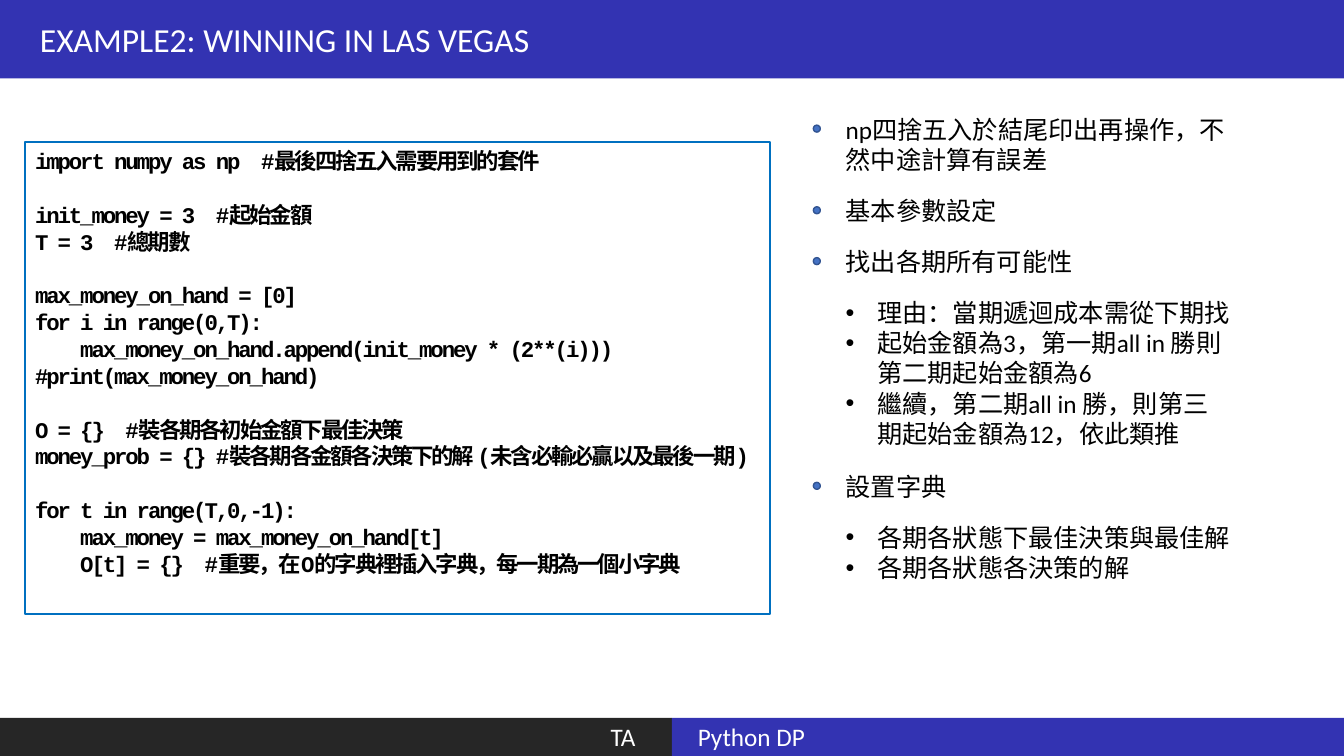
from pptx import Presentation
from pptx.dml.color import RGBColor
from pptx.enum.shapes import MSO_SHAPE
from pptx.enum.text import MSO_ANCHOR, PP_ALIGN
from pptx.oxml.ns import qn
from pptx.util import Pt
from lxml import etree

# Content
TITLE = "EXAMPLE2: WINNING IN LAS VEGAS"
FOOTER_LEFT = "TA"
FOOTER_RIGHT = "Python DP"

# Each group of code lines is set off by one line of space
CODE_GROUPS = [
    ["import numpy as np  #最後四捨五入需要用到的套件"],
    ["init_money = 3  #起始金額",
     "T = 3  #總期數"],
    ["max_money_on_hand = [0]",
     "for i in range(0,T):",
     "    max_money_on_hand.append(init_money * (2**(i)))",
     "#print(max_money_on_hand)"],
    ["O = {}  #裝各期各初始金額下最佳決策",
     "money_prob = {} #裝各期各金額各決策下的解 (未含必輸必贏以及最後一期)"],
    ["for t in range(T,0,-1):",
     "    max_money = max_money_on_hand[t]",
     "    O[t] = {}  #重要，在O的字典裡插入字典，每一期為一個小字典"],
]

# (is a sub-list, number of drawn lines, paragraphs)
NOTES = [
    (False, 2, ["np四捨五入於結尾印出再操作，不然中途計算有誤差"]),
    (False, 1, ["基本參數設定"]),
    (False, 1, ["找出各期所有可能性"]),
    (True, 5, ["理由：當期遞迴成本需從下期找",
               "起始金額為3，第一期all in 勝則第二期起始金額為6",
               "繼續，第二期all in 勝，則第三期起始金額為12，依此類推"]),
    (False, 1, ["設置字典"]),
    (True, 2, ["各期各狀態下最佳決策與最佳解",
               "各期各狀態各決策的解"]),
]

COLORS = {"blue": "3333B2", "dark": "262626", "white": "FFFFFF", "black": "000000",
          "code_line": "0070C0", "dot": "4472C4", "dot_line": "325491"}

# Measures in points
SLIDE_WIDTH, SLIDE_HEIGHT = 960, 540
TITLE_HEIGHT, FOOTER_HEIGHT = 56, 27.2
CODE_LINE = 19.2
NOTES_LEFT, NOTES_TOP, NOTES_WIDTH = 597, 77.8, 289.5
NOTE_LINE, NOTE_PADDING, NOTE_GAP = 21.95, 7.2, 7.2
DOT_LEFT, DOT_DROP, DOT_SIZE = 581, 11.6, 5
BULLET_INDENT = 22.5


def color(name):
    return RGBColor.from_string(COLORS[name])


def add_box(slide, kind, left, top, width, height, fill, line=None):
    shape = slide.shapes.add_shape(kind, Pt(left), Pt(top), Pt(width), Pt(height))
    shape.shadow.inherit = False
    shape.fill.solid()
    shape.fill.fore_color.rgb = color(fill)
    if line:
        shape.line.color.rgb = color(line)
        shape.line.width = Pt(1)
    else:
        shape.line.fill.background()
    return shape


def style(paragraph, size, font_color, name="Calibri", bold=False):
    for run in paragraph.runs:
        run.font.name = name
        run.font.size = Pt(size)
        run.font.bold = bold
        run.font.color.rgb = color(font_color)


def add_banner(slide, left, top, width, height, fill, text, size, inset,
               alignment=PP_ALIGN.LEFT):
    banner = add_box(slide, MSO_SHAPE.RECTANGLE, left, top, width, height, fill)
    frame = banner.text_frame
    frame.text = text
    frame.vertical_anchor = MSO_ANCHOR.MIDDLE
    frame.margin_left = frame.margin_right = Pt(inset)
    frame.paragraphs[0].alignment = alignment
    style(frame.paragraphs[0], size, "white")


def add_bullet(paragraph):
    properties = paragraph._p.get_or_add_pPr()
    properties.set("marL", str(Pt(BULLET_INDENT)))
    properties.set("indent", str(-Pt(BULLET_INDENT)))
    etree.SubElement(properties, qn("a:buFont")).set("typeface", "Arial")
    etree.SubElement(properties, qn("a:buChar")).set("char", "•")


def add_code(slide):
    box = add_box(slide, MSO_SHAPE.RECTANGLE, 18, 101.5, 532, 337, "white", "code_line")
    frame = box.text_frame
    frame.word_wrap = True
    frame.vertical_anchor = MSO_ANCHOR.TOP
    frame.text = "\n".join(line for group in CODE_GROUPS for line in group)
    paragraphs = iter(frame.paragraphs)
    for group_index, group in enumerate(CODE_GROUPS):
        for line_index in range(len(group)):
            paragraph = next(paragraphs)
            paragraph.alignment = PP_ALIGN.LEFT
            paragraph.line_spacing = Pt(CODE_LINE)
            if group_index and line_index == 0:
                paragraph.space_before = Pt(CODE_LINE)
            style(paragraph, 16, "black", "Courier New", True)
            for run in paragraph.runs:
                run._r.get_or_add_rPr().set("spc", "-150")


def add_notes(slide):
    top = NOTES_TOP
    for is_sublist, line_count, texts in NOTES:
        height = NOTE_PADDING + line_count * NOTE_LINE
        box = slide.shapes.add_textbox(Pt(NOTES_LEFT), Pt(top), Pt(NOTES_WIDTH), Pt(height))
        frame = box.text_frame
        frame.word_wrap = True
        frame.text = "\n".join(texts)
        for paragraph in frame.paragraphs:
            if is_sublist:
                add_bullet(paragraph)
            style(paragraph, 18, "black")
        if not is_sublist:
            add_box(slide, MSO_SHAPE.OVAL, DOT_LEFT, top + DOT_DROP, DOT_SIZE, DOT_SIZE,
                    "dot", "dot_line")
        top += height + NOTE_GAP


def main():
    presentation = Presentation()
    presentation.slide_width = Pt(SLIDE_WIDTH)
    presentation.slide_height = Pt(SLIDE_HEIGHT)
    slide = presentation.slides.add_slide(presentation.slide_layouts[6])

    add_code(slide)

    # Title bar and the two footer halves
    half = SLIDE_WIDTH / 2
    footer_top = SLIDE_HEIGHT - FOOTER_HEIGHT
    add_banner(slide, 0, 0, SLIDE_WIDTH, TITLE_HEIGHT, "blue", TITLE, 24, 28.5)
    add_banner(slide, 0, footer_top, half, FOOTER_HEIGHT, "dark", FOOTER_LEFT, 18, 26,
               PP_ALIGN.RIGHT)
    add_banner(slide, half, footer_top, half, FOOTER_HEIGHT, "blue", FOOTER_RIGHT, 18, 18.5)

    add_notes(slide)
    presentation.save("out.pptx")


if __name__ == "__main__":
    main()
